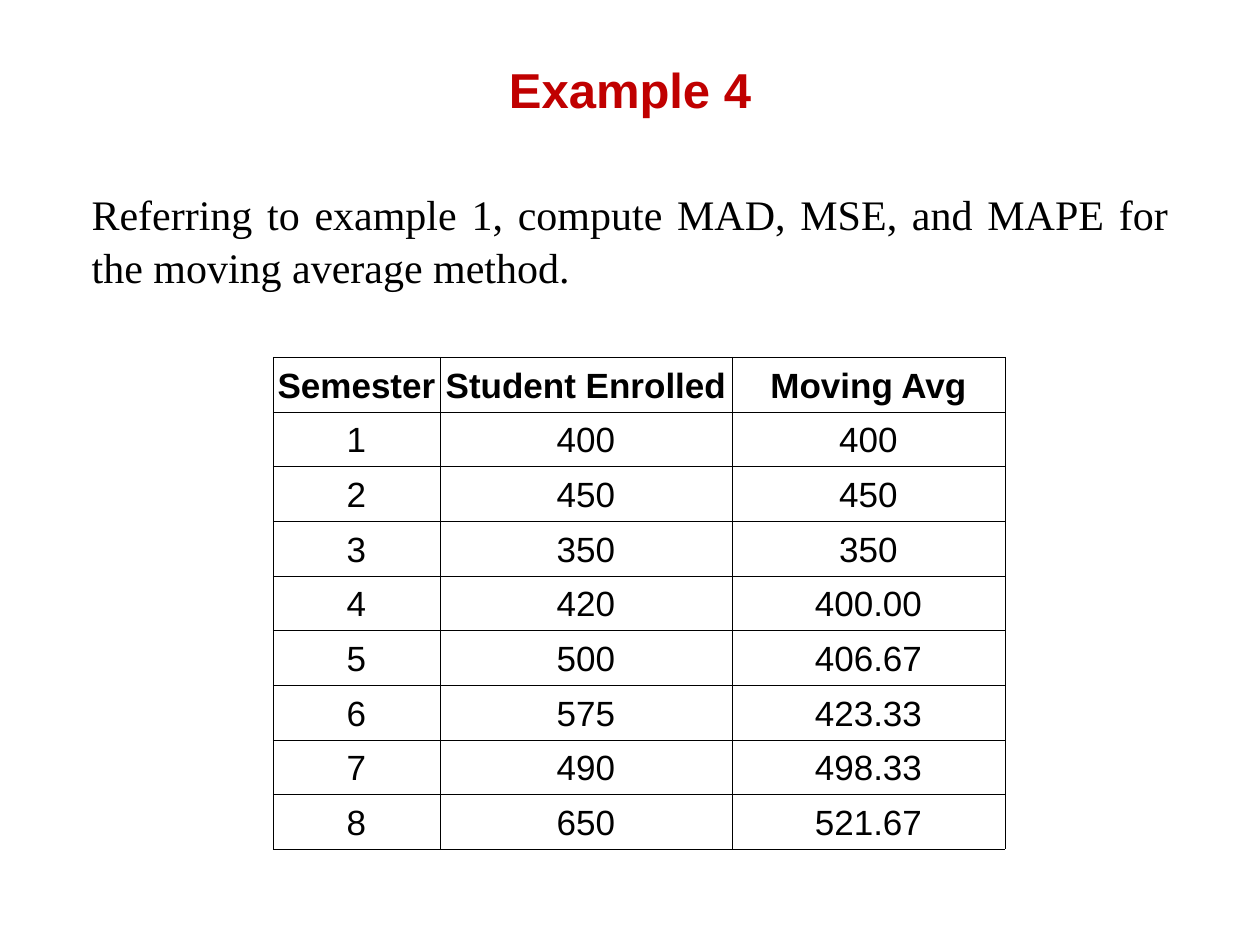
from dataclasses import dataclass

from lxml import etree
from pptx import Presentation
from pptx.dml.color import RGBColor
from pptx.enum.text import MSO_ANCHOR, MSO_AUTO_SIZE, PP_ALIGN
from pptx.oxml.ns import qn
from pptx.util import Pt

CENTER, JUSTIFY = PP_ALIGN.CENTER, PP_ALIGN.JUSTIFY
TOP, MIDDLE, BOTTOM = MSO_ANCHOR.TOP, MSO_ANCHOR.MIDDLE, MSO_ANCHOR.BOTTOM
NO_AUTOFIT = MSO_AUTO_SIZE.NONE

TITLE = "Example 4"
TASK = "Referring to example 1, compute MAD, MSE, and MAPE for the moving average method."
HEADER = ("Semester", "Student Enrolled", "Moving Avg")
ENROLLMENT = [
    ("400", "400"),
    ("450", "450"),
    ("350", "350"),
    ("420", "400.00"),
    ("500", "406.67"),
    ("575", "423.33"),
    ("490", "498.33"),
    ("650", "521.67"),
]
ROWS = [HEADER] + [(str(n), *values) for n, values in enumerate(ENROLLMENT, 1)]

SLIDE_SIZE = (1260, 945)
TITLE_BOX = (483, 52, 294, 74)
TASK_BOX = (79, 180, 1102, 113)
TABLE_ORIGIN = (273, 357)
TABLE_HEIGHT = 492
COLUMN_WIDTHS = (167, 292, 273)
CELL_INSET = 1


@dataclass(frozen=True)
class Theme:
    heading_font: str = "Arial"
    body_font: str = "Times New Roman"
    accent: str = "C00000"
    ink: str = "000000"
    title_size: int = 28
    body_size: int = 24
    table_size: int = 20
    border_width: float = 0.23


THEME = Theme()


def px(value):
    return round(value * 914400 / 126)


def style_paragraph(paragraph, font_name, size, color, bold, alignment):
    paragraph.alignment = alignment
    paragraph.font.name = font_name
    paragraph.font.size = Pt(size)
    paragraph.font.bold = bold
    paragraph.font.color.rgb = RGBColor.from_string(color)


def fill_placeholder(shape, box, text, anchor):
    shape.left, shape.top, shape.width, shape.height = map(px, box)
    frame = shape.text_frame
    frame.text = text
    frame.word_wrap = True
    frame.auto_size = NO_AUTOFIT
    frame.vertical_anchor = anchor
    return frame.paragraphs[0]


def add_borders(cell):
    properties = cell._tc.get_or_add_tcPr()
    for side in ("a:lnL", "a:lnR", "a:lnT", "a:lnB"):
        line = etree.SubElement(properties, qn(side), w=str(Pt(THEME.border_width)))
        fill = etree.SubElement(line, qn("a:solidFill"))
        etree.SubElement(fill, qn("a:srgbClr"), val=THEME.ink)


def add_enrollment_table(slide):
    left, top = map(px, TABLE_ORIGIN)
    table = slide.shapes.add_table(
        len(ROWS), len(HEADER), left, top, px(sum(COLUMN_WIDTHS)), px(TABLE_HEIGHT)
    ).table
    table.horz_banding = False
    for column, width in zip(table.columns, COLUMN_WIDTHS):
        column.width = px(width)
    for row_index, values in enumerate(ROWS):
        for column_index, value in enumerate(values):
            cell = table.cell(row_index, column_index)
            cell.text = value
            cell.vertical_anchor = BOTTOM
            cell.margin_left = cell.margin_right = px(CELL_INSET)
            add_borders(cell)
            cell.fill.background()
            style_paragraph(cell.text_frame.paragraphs[0], THEME.heading_font,
                            THEME.table_size, THEME.ink, row_index == 0, CENTER)


def main():
    presentation = Presentation()
    presentation.slide_width, presentation.slide_height = map(px, SLIDE_SIZE)
    slide = presentation.slides.add_slide(presentation.slide_layouts[1])

    title = fill_placeholder(slide.shapes.title, TITLE_BOX, TITLE, MIDDLE)
    style_paragraph(title, THEME.heading_font, THEME.title_size, THEME.accent, True, CENTER)

    task = fill_placeholder(slide.placeholders[1], TASK_BOX, TASK, TOP)
    style_paragraph(task, THEME.body_font, THEME.body_size, THEME.ink, False, JUSTIFY)
    task.space_before = Pt(0)
    task.line_spacing = 1.05
    properties = task._p.get_or_add_pPr()
    properties.set("marL", "0")
    properties.set("indent", "0")
    properties.insert_element_before(
        etree.Element(qn("a:buNone")), "a:tabLst", "a:defRPr", "a:extLst")

    add_enrollment_table(slide)
    presentation.save("out.pptx")


if __name__ == "__main__":
    main()
